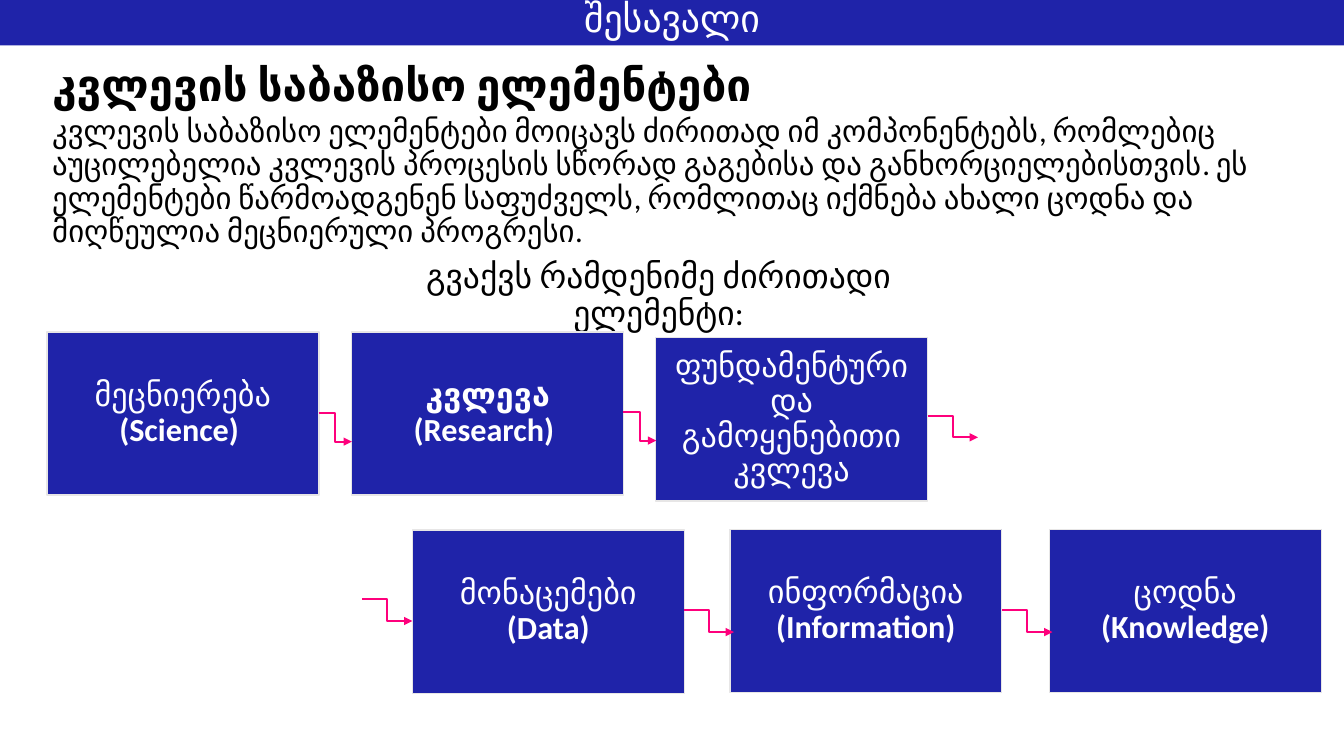
import pptx
import pptx.util
import pptx.dml.color
import pptx.enum.shapes
import pptx.enum.text
import pptx.oxml.ns
from lxml import etree

Pt = pptx.util.Pt
Shape = pptx.enum.shapes.MSO_SHAPE
Align = pptx.enum.text.PP_ALIGN
Anchor = pptx.enum.text.MSO_ANCHOR
qn = pptx.oxml.ns.qn

FONT = "Calibri"
COLORS = {"blue": "1F23A9", "white": "FFFFFF", "black": "000000",
          "edge": "E7E6E6", "pink": "FE007C"}

BANNER = "შესავალი"
TITLE = "კვლევის საბაზისო ელემენტები"
INTRO = ("კვლევის საბაზისო ელემენტები მოიცავს ძირითად იმ კომპონენტებს, რომლებიც "
         "აუცილებელია კვლევის პროცესის სწორად გაგებისა და განხორციელებისთვის. ეს "
         "ელემენტები წარმოადგენენ საფუძველს, რომლითაც იქმნება ახალი ცოდნა და "
         "მიღწეულია მეცნიერული პროგრესი.")
LEAD = "გვაქვს რამდენიმე ძირითადი ელემენტი:"

CARD_W, CARD_H = 194.2, 116.6
CARDS = [
    (33.6, 237, [("მეცნიერება ", False), ("(Science) ", True)]),
    (251.3, 237, [("კვლევა (Research) ", True)]),
    (468.4, 241.2, [("ფუნდამენტური და გამოყენებითი კვლევა", False)]),
    (294.6, 378.7, [("მონაცემები ", False), ("(Data)", True)]),
    (521.4, 378, [("ინფორმაცია ", False), ("(Information)", True)]),
    (749.6, 378, [("ცოდნა ", False), ("(Knowledge)", True)]),
]
SHORT, LONG = (23.7, 20.2), (36, 15.5)
ARROWS = [
    (227.7, 295.2, SHORT), (445.1, 294.5, SHORT), (662.6, 296.9, LONG),
    (258.6, 428.1, LONG), (488.3, 436, LONG), (715.8, 436, LONG),
]


def rgb(name):
    return pptx.dml.color.RGBColor.from_string(COLORS[name])


def write(shape, runs, size, color, align=Align.CENTER, gap=0.9):
    frame = shape.text_frame
    frame.word_wrap = True
    frame.vertical_anchor = Anchor.MIDDLE
    para = frame.paragraphs[0]
    para.alignment = align
    para.line_spacing = gap
    for text, bold in runs:
        run = para.add_run()
        run.text = text
        run.font.name = FONT
        run.font.size = Pt(size)
        run.font.bold = bold
        run.font.color.rgb = rgb(color)
    return frame


def add_text(slide, box, text, size, bold=False, align=Align.LEFT):
    shape = slide.shapes.add_textbox(*map(Pt, box))
    return write(shape, [(text, bold)], size, "black", align)


def add_block(slide, box, edge=None):
    shape = slide.shapes.add_shape(Shape.RECTANGLE, *map(Pt, box))
    shape.shadow.inherit = False
    shape.fill.solid()
    shape.fill.fore_color.rgb = rgb("blue")
    if edge:
        shape.line.color.rgb = rgb(edge)
        shape.line.width = Pt(1)
    else:
        shape.line.fill.background()
    return shape


def add_card(slide, left, top, runs):
    shape = add_block(slide, (left, top, CARD_W, CARD_H), "edge")
    frame = write(shape, runs, 23, "white")
    frame.margin_left = frame.margin_right = Pt(7.2)
    frame.margin_top = frame.margin_bottom = Pt(7.2)


def add_arrow(slide, left, top, size):
    ends = (left, top, left + size[0], top + size[1])
    link = slide.shapes.add_connector(
        pptx.enum.shapes.MSO_CONNECTOR.ELBOW, *map(Pt, ends))
    link.line.color.rgb = rgb("pink")
    link.line.width = Pt(1.5)
    line = link.line._get_or_add_ln()
    etree.SubElement(line, qn("a:tailEnd"), type="triangle")
    etree.SubElement(link._element.spPr, qn("a:effectLst"))


def main():
    deck = pptx.Presentation()
    deck.slide_width, deck.slide_height = Pt(960), Pt(540)
    slide = deck.slides.add_slide(deck.slide_layouts[6])

    add_text(slide, (30.2, 40.3, 584.6, 43.9), TITLE, 31.5, True)
    add_text(slide, (30.2, 80.6, 887, 99.4), INTRO, 22)
    banner = add_block(slide, (0, 0, 960, 32.4))
    write(banner, [(BANNER, False)], 27, "white", gap=0.7)
    lead = add_text(slide, (237.6, 180, 465.8, 89.3), LEAD, 24, align=Align.CENTER)
    lead.vertical_anchor = Anchor.TOP
    lead.margin_top = Pt(5.6)

    for card in CARDS:
        add_card(slide, *card)
    for arrow in ARROWS:
        add_arrow(slide, *arrow)
    deck.save("out.pptx")


if __name__ == "__main__":
    main()
